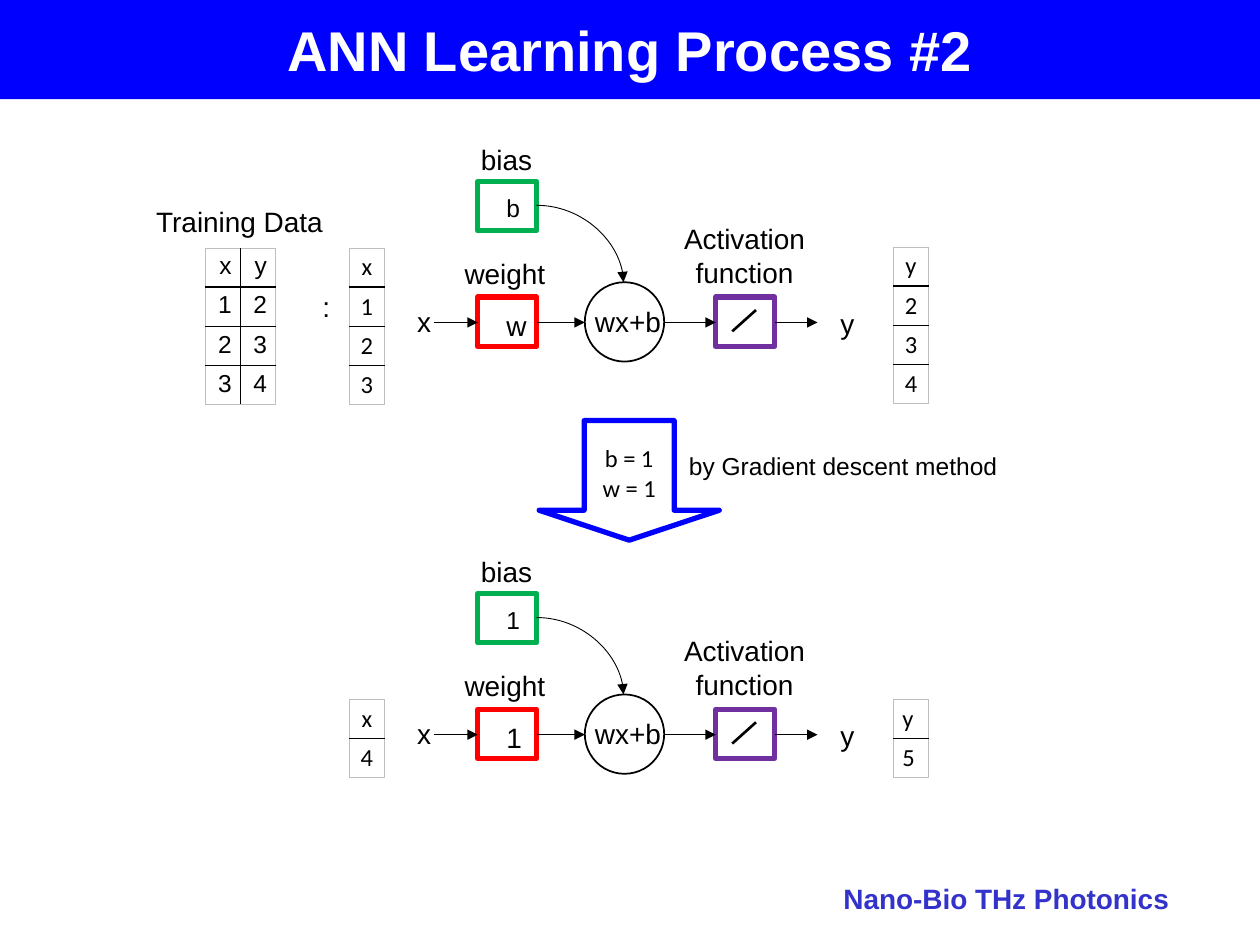
from lxml import etree
from pptx import Presentation
from pptx import util as u
from pptx.dml.color import RGBColor
from pptx.enum import shapes, text
from pptx.oxml import ns

BLACK, WHITE, BLUE = "000000", "FFFFFF", "0000FF"
GRID_EDGE = "BFBFBF"
LEFT, CENTER, RIGHT = text.PP_ALIGN.LEFT, text.PP_ALIGN.CENTER, text.PP_ALIGN.RIGHT
CELL = 0.79
COLUMN = 0.71
BOX_W, BOX_H = 1.19, 0.99
LETTER_W, LABEL_H = 0.48, 0.94
WIRE_Y = 6.5
TRAINED_SHIFT = 8.31


def color(hex_string):
    return RGBColor.from_string(hex_string)


def cm(*lengths):
    return [u.Cm(length) for length in lengths]


def write(frame, words, size, hue=BLACK, bold=False, font="Arial", align=CENTER):
    frame.text = words
    for paragraph in frame.paragraphs:
        paragraph.alignment = align
        for run in paragraph.runs:
            run.font.name = font
            run.font.size = u.Pt(size)
            run.font.bold = bold
            run.font.color.rgb = color(hue)


def add_label(parent, words, place, size=16, wrap=True, **style):
    label = parent.add_textbox(*cm(*place))
    label.text_frame.word_wrap = wrap
    label.text_frame.auto_size = text.MSO_AUTO_SIZE.SHAPE_TO_FIT_TEXT
    write(label.text_frame, words, size, **style)


def add_block(parent, kind, place, fill=None, line=None, width=3):
    block = parent.add_shape(kind, *cm(*place))
    block.shadow.inherit = False
    if fill:
        block.fill.solid()
        block.fill.fore_color.rgb = color(fill)
    else:
        block.fill.background()
    if line:
        block.line.color.rgb = color(line)
        block.line.width = u.Pt(width)
    else:
        block.line.fill.background()
    return block


def add_line(parent, start, end, width=0.5, arrow=True, curved=False):
    kind = shapes.MSO_CONNECTOR.CURVE if curved else shapes.MSO_CONNECTOR.STRAIGHT
    line = parent.add_connector(kind, *cm(*start, *end))
    line.line.color.rgb = color(BLACK)
    line.line.width = u.Pt(width)
    properties = line._element.spPr
    if curved:
        properties.find(ns.qn("a:prstGeom")).set("prst", "curvedConnector2")
    if arrow:
        etree.SubElement(properties.find(ns.qn("a:ln")), ns.qn("a:tailEnd"), type="triangle")
    etree.SubElement(properties, ns.qn("a:effectLst"))


def add_border(cell, side, hue, width):
    border = etree.SubElement(cell._tc.get_or_add_tcPr(), ns.qn(f"a:ln{side}"),
                              w=str(u.Pt(width)))
    fill = etree.SubElement(border, ns.qn("a:solidFill"))
    etree.SubElement(fill, ns.qn("a:srgbClr"), val=hue)


def add_data(parent, rows, left, top, font="Calibri", align=CENTER):
    n_rows, n_columns = len(rows), len(rows[0])
    place = cm(left, top, COLUMN * n_columns, CELL * n_rows)
    data = parent.add_table(n_rows, n_columns, *place).table
    data.first_row = data.horz_banding = False
    for column in data.columns:
        column.width = u.Cm(COLUMN)
    for r, values in enumerate(rows):
        data.rows[r].height = u.Cm(CELL)
        for c, value in enumerate(values):
            cell = data.cell(r, c)
            cell.margin_left = cell.margin_right = u.Cm(0.18)
            cell.margin_top = cell.margin_bottom = u.Cm(0.09)
            write(cell.text_frame, value, 14, font=font, align=align)
            outer = {"L": c == 0, "R": c == n_columns - 1,
                     "T": r == 0, "B": r == n_rows - 1}
            for side, at_edge in outer.items():
                add_border(cell, side, *((GRID_EDGE, 0.5) if at_edge else (BLACK, 1)))
            cell.fill.background()


def add_neuron(slide, weight, bias, shift=0):
    neuron = slide.shapes.add_group_shape().shapes
    rectangle, oval = shapes.MSO_SHAPE.RECTANGLE, shapes.MSO_SHAPE.OVAL

    add_block(neuron, oval, (11.79, 5.69 + shift, 1.6, 1.6), line=BLACK, width=1)
    for left, top, hue in [(9.63, 5.99, "FF0000"), (14.43, 5.99, "7030A0"),
                           (9.63, 3.66, "00B050")]:
        add_block(neuron, rectangle, (left, top + shift, BOX_W, BOX_H), line=hue)

    for start, end in [(8.74, 9.63), (10.82, 11.79), (13.39, 14.43), (15.62, 16.48)]:
        add_line(neuron, (start, WIRE_Y + shift), (end, WIRE_Y + shift))
    add_line(neuron, (10.82, 4.14 + shift), (12.57, 5.69 + shift), curved=True)
    add_line(neuron, (14.76, 6.68 + shift), (15.24, 6.25 + shift), 1.5, arrow=False)

    for words, left, top, width, height, size in [
        ("x", 8.18, 6.02, LETTER_W, LABEL_H, 16),
        (weight, 9.98, 6.1, LETTER_W, LABEL_H, 16),
        ("wx+b", 11.71, 6.02, 1.9, LABEL_H, 16),
        ("y", 16.71, 6.05, LETTER_W, LABEL_H, 16),
        ("weight", 9.09, 5.05, 2.18, LABEL_H, 16),
        ("Activation\nfunction", 13.31, 4.34, 3.4, 1.63, 16),
        ("bias", 9.37, 2.74, 1.68, LABEL_H, 16),
        (bias, 9.98, 3.76, LETTER_W, 0.86, 14),
    ]:
        add_label(neuron, words, (left, top + shift, width, height), size)


def main():
    deck = Presentation()
    deck.slide_width, deck.slide_height = cm(25.4, 19.05)
    slide = deck.slides.add_slide(deck.slide_layouts[6])
    canvas = slide.shapes

    add_label(canvas, "Nano-Bio THz Photonics", (16.61, 17.65, 7.21, LABEL_H),
              hue="3333CC", bold=True, align=RIGHT)
    banner = add_block(canvas, shapes.MSO_SHAPE.RECTANGLE, (0, 0, 25.4, 2), fill=BLUE)
    write(banner.text_frame, "ANN Learning Process #2", 32, WHITE, bold=True)

    add_data(canvas, ["xy", "12", "23", "34"], 4.14, 5, font="Arial", align=RIGHT)
    add_data(canvas, "x123", 7.04, 5)
    add_data(canvas, "y234", 18.01, 4.98)
    add_label(canvas, "Training Data", (2.9, 3.99, 3.91, LABEL_H), wrap=False, align=LEFT)
    add_label(canvas, ":", (6.25, 5.72, 0.69, LABEL_H), wrap=False, align=LEFT)
    add_neuron(slide, "w", "b")

    descent = add_block(canvas, shapes.MSO_SHAPE.DOWN_ARROW, (10.87, 8.48, 3.63, 2.41),
                        line=BLUE)
    descent.adjustments[0], descent.adjustments[1] = 0.5, 0.25
    write(descent.text_frame, "b = 1\nw = 1", 14, font="Calibri")
    add_label(canvas, "by Gradient descent method", (13.61, 8.97, 6.78, 0.86), 14)

    add_neuron(slide, "1", "1", TRAINED_SHIFT)
    add_data(canvas, "x4", 7.04, 14.1)
    add_data(canvas, "y5", 18.01, 14.1, align=LEFT)
    deck.save("out.pptx")


if __name__ == "__main__":
    main()
